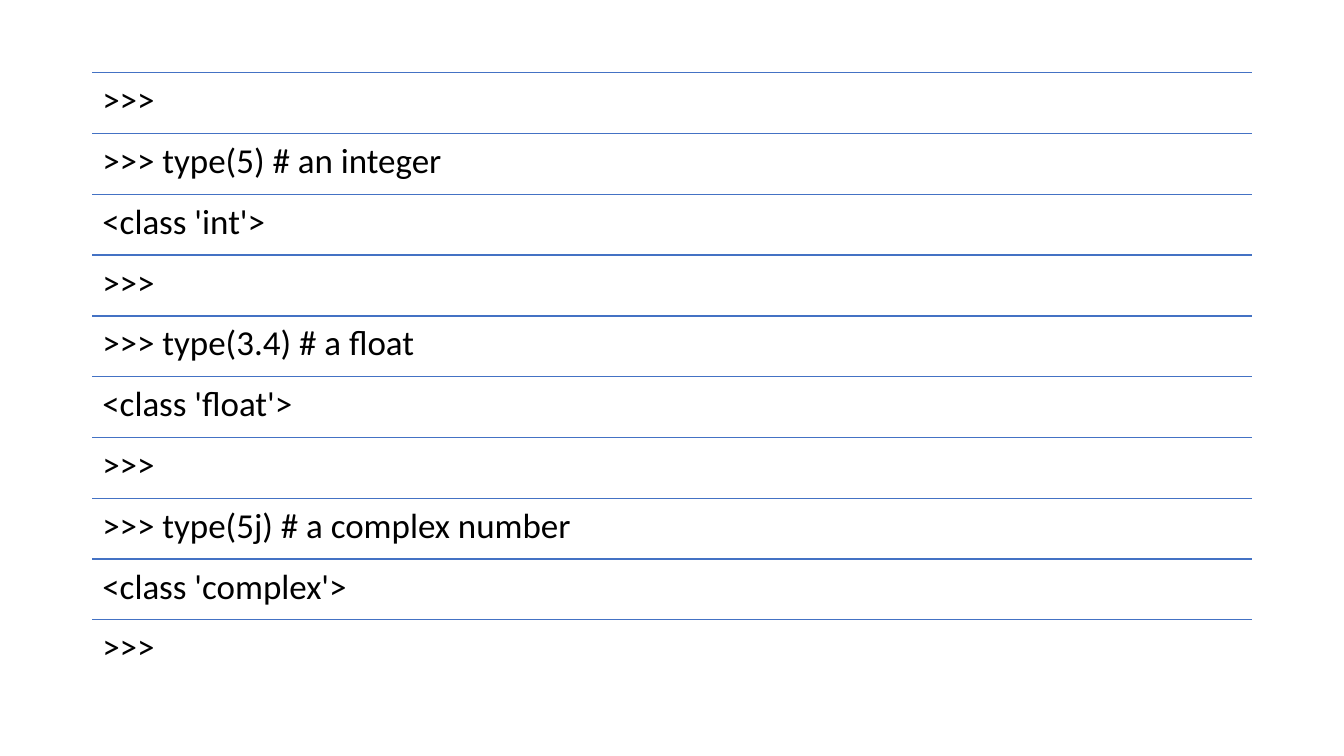
from dataclasses import dataclass

from lxml import etree
from pptx import Presentation
from pptx import util as u
from pptx.dml.color import RGBColor
from pptx.enum import shapes, text
from pptx.oxml import ns
from pptx.slide import Slide


@dataclass(frozen=True)
class Theme:
    font: str = "Calibri"
    text_size: u.Length = u.Pt(25)
    text_color: RGBColor = RGBColor(0x00, 0x00, 0x00)
    rule_color: RGBColor = RGBColor(0x44, 0x72, 0xC4)
    rule_width: u.Length = u.Pt(1)
    line_spacing: float = 0.9


@dataclass(frozen=True)
class ConsoleRow:
    content: str
    top: u.Length


THEME = Theme()
LEFT = u.Cm(2.33)
TOP = u.Cm(1.83)
WIDTH = u.Cm(29.21)
LIST_HEIGHT = u.Cm(15.32)
INSET = u.Cm(0.25)

CONSOLE_LINES = [
    ">>>",
    ">>> type(5) # an integer",
    "<class 'int'>",
    ">>>",
    ">>> type(3.4) # a float",
    "<class 'float'>",
    ">>>",
    ">>> type(5j) # a complex number",
    "<class 'complex'>",
    ">>>",
]
ROW_HEIGHT = u.Emu(LIST_HEIGHT // len(CONSOLE_LINES))


def draw_rule(slide: Slide, top: u.Length) -> None:
    rule = slide.shapes.add_connector(
        shapes.MSO_CONNECTOR.STRAIGHT, LEFT, top, LEFT + WIDTH, top
    )
    rule.line.color.rgb = THEME.rule_color
    rule.line.width = THEME.rule_width
    properties = rule._element.spPr
    etree.SubElement(properties, ns.qn("a:effectLst"))


def draw_text(slide: Slide, row: ConsoleRow) -> None:
    box = slide.shapes.add_textbox(LEFT, row.top, WIDTH, ROW_HEIGHT)
    frame = box.text_frame
    frame.word_wrap = True
    frame.vertical_anchor = text.MSO_ANCHOR.TOP
    frame.margin_left = frame.margin_right = INSET
    frame.margin_top = frame.margin_bottom = INSET
    paragraph = frame.paragraphs[0]
    paragraph.line_spacing = THEME.line_spacing
    run = paragraph.add_run()
    run.text = row.content
    run.font.name = THEME.font
    run.font.size = THEME.text_size
    run.font.color.rgb = THEME.text_color


def main() -> None:
    presentation = Presentation()
    presentation.slide_width = u.Cm(33.87)
    presentation.slide_height = u.Cm(19.05)
    slide = presentation.slides.add_slide(presentation.slide_layouts[6])
    for index, content in enumerate(CONSOLE_LINES):
        row = ConsoleRow(content, u.Emu(TOP + index * ROW_HEIGHT))
        draw_rule(slide, row.top)
        draw_text(slide, row)
    presentation.save("out.pptx")


if __name__ == "__main__":
    main()
